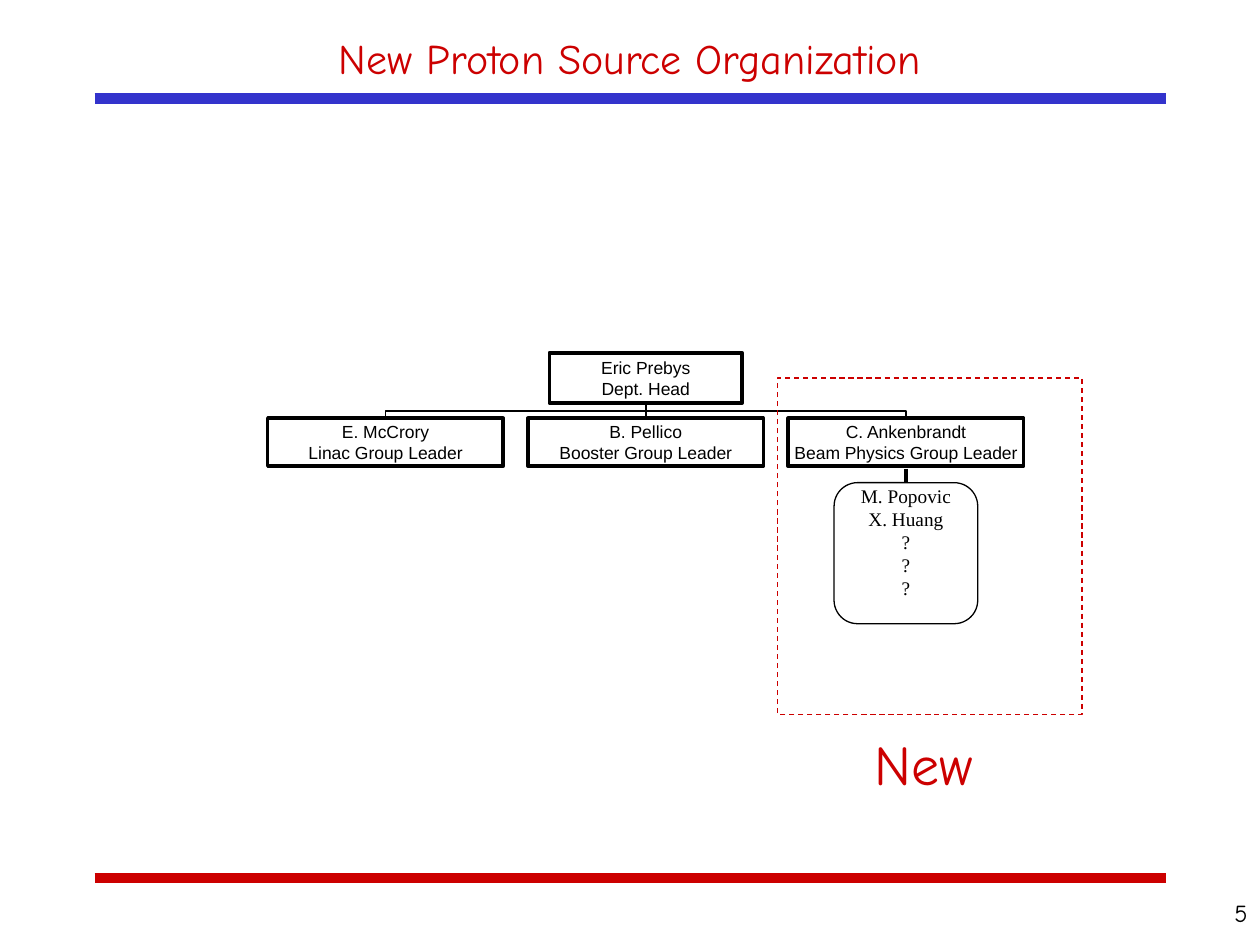
from dataclasses import dataclass

from lxml.etree import SubElement
from pptx import Presentation
from pptx.dml.color import RGBColor as Rgb
from pptx.enum.dml import MSO_LINE_DASH_STYLE as Dash
from pptx.enum.shapes import MSO_CONNECTOR as Link, MSO_SHAPE as Form
from pptx.enum.text import MSO_ANCHOR as Anchor, PP_ALIGN as Align
from pptx.oxml.ns import qn
from pptx.util import Pt

HUES = {"red": "CC0000", "blue": "3333CC", "black": "000000", "white": "FFFFFF"}
HAND = "Comic Neue"

# Chart grid, in points
MID, STEP = 369, 148.7
ROW, WIDE, TALL = 239, 134.6, 27.4
TOP, LOW = 231.1, 238.3


@dataclass
class Style:
    font: str
    size: float
    hue: str = "black"
    align: Align = Align.CENTER
    anchor: Anchor = Anchor.MIDDLE
    pad: tuple = (7.2, 3.6, 7.2, 3.6)
    wrap: bool = True


@dataclass
class Box:
    mid: float
    top: float
    wide: float
    tall: float
    lines: tuple
    style: Style
    form: Form = Form.RECTANGLE
    edge: float = 2
    fill: str = "white"


def tint(name: str) -> Rgb:
    return Rgb.from_string(HUES[name])


def apply(thing, values: dict) -> None:
    for key, value in values.items():
        setattr(thing, key, value)


def write(shape, lines: tuple, style: Style) -> None:
    frame = shape.text_frame
    left, top, right, base = map(Pt, style.pad)
    apply(frame, {"word_wrap": style.wrap, "vertical_anchor": style.anchor,
                  "margin_left": left, "margin_top": top,
                  "margin_right": right, "margin_bottom": base})
    for i, line in enumerate(lines):
        para = frame.add_paragraph() if i else frame.paragraphs[0]
        para.alignment = style.align
        run = para.add_run()
        run.text = line
        apply(run.font, {"name": style.font, "size": Pt(style.size)})
        run.font.color.rgb = tint(style.hue)


def label(slide, place: tuple, text: str, style: Style) -> None:
    write(slide.shapes.add_textbox(*map(Pt, place)), (text,), style)


def draw(slide, box: Box) -> None:
    place = (box.mid - box.wide / 2, box.top, box.wide, box.tall)
    shape = slide.shapes.add_shape(box.form, *map(Pt, place))
    shape.shadow.inherit = False
    if box.fill:
        shape.fill.solid()
        shape.fill.fore_color.rgb = tint(box.fill)
    else:
        shape.fill.background()
    shape.line.color.rgb = tint("black")
    shape.line.width = Pt(box.edge)
    write(shape, box.lines, box.style)


def rule(slide, ends: tuple, hue: str, width: float, kind: Link = Link.STRAIGHT):
    line = slide.shapes.add_connector(kind, *map(Pt, ends))
    line.line.color.rgb = tint(hue)
    line.line.width = Pt(width)
    SubElement(line._element.spPr, qn("a:effectLst"))
    return line


def branch(slide, mid: float) -> None:
    """Elbow from the head down to a child: drawn sideways, turned 90 degrees."""
    half, drop = (mid - MID) / 2, (LOW - TOP) / 2
    x, y = MID + half, (TOP + LOW) / 2
    line = rule(slide, (x - drop, y + half, x + drop, y - half),
                "black", 1, Link.ELBOW)
    line._element.spPr.find(qn("a:xfrm")).set("rot", str(90 * 60000))


def main() -> None:
    deck = Presentation()
    deck.slide_width, deck.slide_height = Pt(720), Pt(540)
    slide = deck.slides.add_slide(deck.slide_layouts[6])

    # Page rules and title
    for y, hue in ((501.8, "red"), (56.2, "blue")):
        rule(slide, (54, y, 666, y), hue, 6)
    label(slide, (54, 12.2, 612, 41.8), "New Proton Source Organization",
          Style(HAND, 24, "red"))

    # Links
    mids = [MID + STEP * i for i in (-1, 0, 1)]
    last = mids[-1]
    rule(slide, (last, 267.8, last, 275.8), "black", 2.25)
    for mid in mids:
        branch(slide, mid)

    # Head and group leaders
    plain = Style("Arial", 10, pad=(2.9, 1.4, 2.9, 1.4), wrap=False)
    draw(slide, Box(MID, 201.6, 110.2, 28.8, ("Eric Prebys", "Dept. Head"), plain))
    heads = (("E. McCrory", "Linac Group Leader"),
             ("B. Pellico", "Booster Group Leader"),
             ("C. Ankenbrandt", "Beam Physics Group Leader"))
    for mid, lines in zip(mids, heads):
        draw(slide, Box(mid, ROW, WIDE, TALL, lines, plain))

    # Staff of the new group
    staff = Style("Times New Roman", 11, pad=(5, 2.2, 5, 15), wrap=False)
    draw(slide, Box(last, 275.8, 82.1, 80.6, ("M. Popovic", "X. Huang", "?", "?", "?"),
                    staff, Form.ROUNDED_RECTANGLE, 0.75, ""))

    # Dashed frame and its label
    frame = slide.shapes.add_shape(Form.RECTANGLE, *map(Pt, (444.2, 216, 174.2, 192.2)))
    frame.shadow.inherit = False
    frame.fill.background()
    frame.line.color.rgb = tint("red")
    apply(frame.line, {"width": Pt(0.75), "dash_style": Dash.DASH})
    label(slide, (480.2, 414, 95.8, 43.9), "New",
          Style(HAND, 32, "red", anchor=Anchor.TOP, pad=(6.5, 2.9, 6.5, 2.9)))

    # Page number
    label(slide, (653.8, 509.8, 66.2, 30.2), "5",
          Style(HAND, 14, align=Align.RIGHT, anchor=Anchor.TOP))

    deck.save("out.pptx")


if __name__ == "__main__":
    main()
